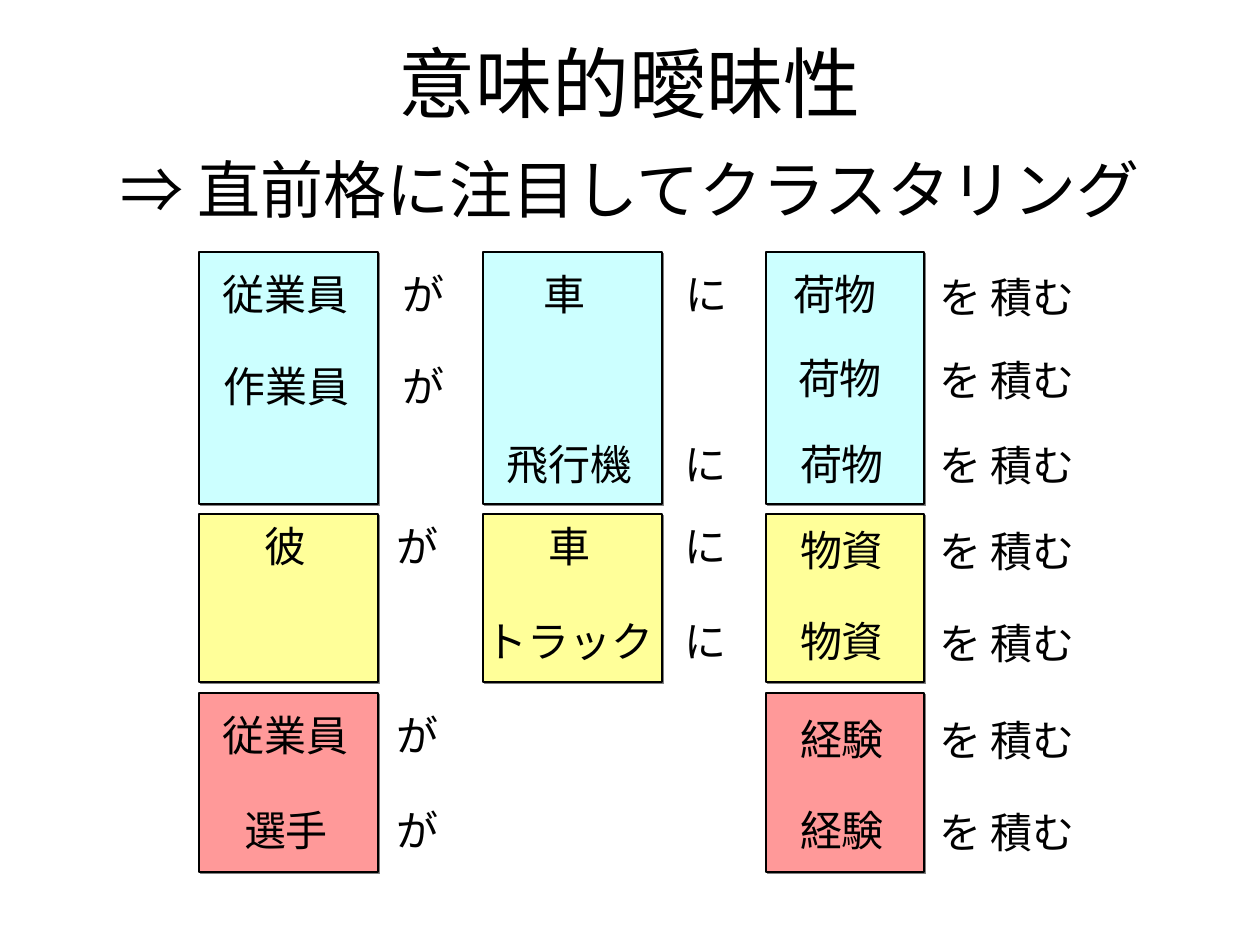
from lxml import etree
from pptx import Presentation
from pptx.dml.color import RGBColor
from pptx.enum.shapes import MSO_SHAPE
from pptx.enum.text import MSO_ANCHOR, MSO_AUTO_SIZE, PP_ALIGN
from pptx.oxml.ns import qn
from pptx.util import Emu, Pt

RECT = MSO_SHAPE.RECTANGLE
MID = MSO_ANCHOR.MIDDLE
GROW = MSO_AUTO_SIZE.SHAPE_TO_FIT_TEXT
CENTER = PP_ALIGN.CENTER
HUES = {
    "ink": "000000",
    "shade": "808080",
    "cyan": "CCFFFF",
    "lemon": "FFFF99",
    "rose": "FF9999",
}


def px(*sizes):
    return [Emu(round(n * 914400 / 126)) for n in sizes]


def hue(name):
    return RGBColor.from_string(HUES[name])


deck = Presentation()
deck.slide_width, deck.slide_height = px(1260, 945)
slide = deck.slides.add_slide(deck.slide_layouts[6])

title = slide.shapes.add_textbox(*px(63, 38, 1134, 157))
frame = title.text_frame
frame.word_wrap = True
frame.vertical_anchor = MID
para = frame.paragraphs[0]
para.alignment = CENTER
para.line_spacing = 1.3
para.font.name = "Arial"
para.font.color.rgb = hue("ink")
head = para.add_run()
head.text = "意味的曖昧性"
head.font.size = Pt(44)
para.add_line_break()
lead = para.add_run()
lead.text = "⇒ 直前格に注目してクラスタリング"
lead.font.size = Pt(36)

bands = [("cyan", 252, 252), ("lemon", 514, 168), ("rose", 693, 179)]
slots = {"subject": (199, 179), "goal": (483, 179), "object": (766, 158)}

for tint, top, high in bands:
    for slot, (left, wide) in slots.items():
        if (tint, slot) == ("rose", "goal"):
            continue
        box = slide.shapes.add_shape(RECT, *px(left, top, wide, high))
        box.fill.solid()
        box.fill.fore_color.rgb = hue(tint)
        box.line.color.rgb = hue("ink")
        box.line.width = Pt(0.75)
        box.shadow.inherit = False
        glow = box.element.spPr.find(qn("a:effectLst"))
        cast = etree.SubElement(glow, qn("a:outerShdw"), dist="17961", dir="2700000",
                                algn="ctr", rotWithShape="0")
        etree.SubElement(cast, qn("a:srgbClr"), val=HUES["shade"])

rows = [262, 354, 432, 514, 609, 703, 798]
tops = {
    "noun": rows,
    "object": [262, 346, 432, 518, 609, 707, 798],
    "verb": [265, 348, 433, 519, 611, 708, 800],
}
words = [
    ("noun", ["従業員", "作業員", "", "彼", "", "従業員", "選手"],
     [286, 287, 0, 285, 0, 286, 286]),
    ("noun", ["が", "が", "", "が", "", "が", "が"],
     [423, 423, 0, 418, 0, 418, 418]),
    ("noun", ["車", "", "飛行機", "車", "トラック", "", ""],
     [565, 0, 570, 569, 570, 0, 0]),
    ("noun", ["に", "", "に", "に", "に", "", ""],
     [706, 0, 705, 705, 705, 0, 0]),
    ("object", ["荷物"] * 3 + ["物資"] * 2 + ["経験"] * 2,
     [835, 840] + [842] * 5),
    ("verb", ["を 積む"] * 7, [1007] * 7),
]

for kind, texts, mids in words:
    for text, mid, top in zip(texts, mids, tops[kind]):
        if not text:
            continue
        wide = 26 + sum(16 if char == " " else 42 for char in text)
        label = slide.shapes.add_textbox(*px(mid - wide // 2, top, wide, 63))
        frame = label.text_frame
        frame.word_wrap = False
        frame.auto_size = GROW
        para = frame.paragraphs[0]
        para.text = text
        para.alignment = CENTER
        para.font.name = "Karla"
        para.font.size = Pt(24)
        para.font.color.rgb = hue("ink")

deck.save("out.pptx")
